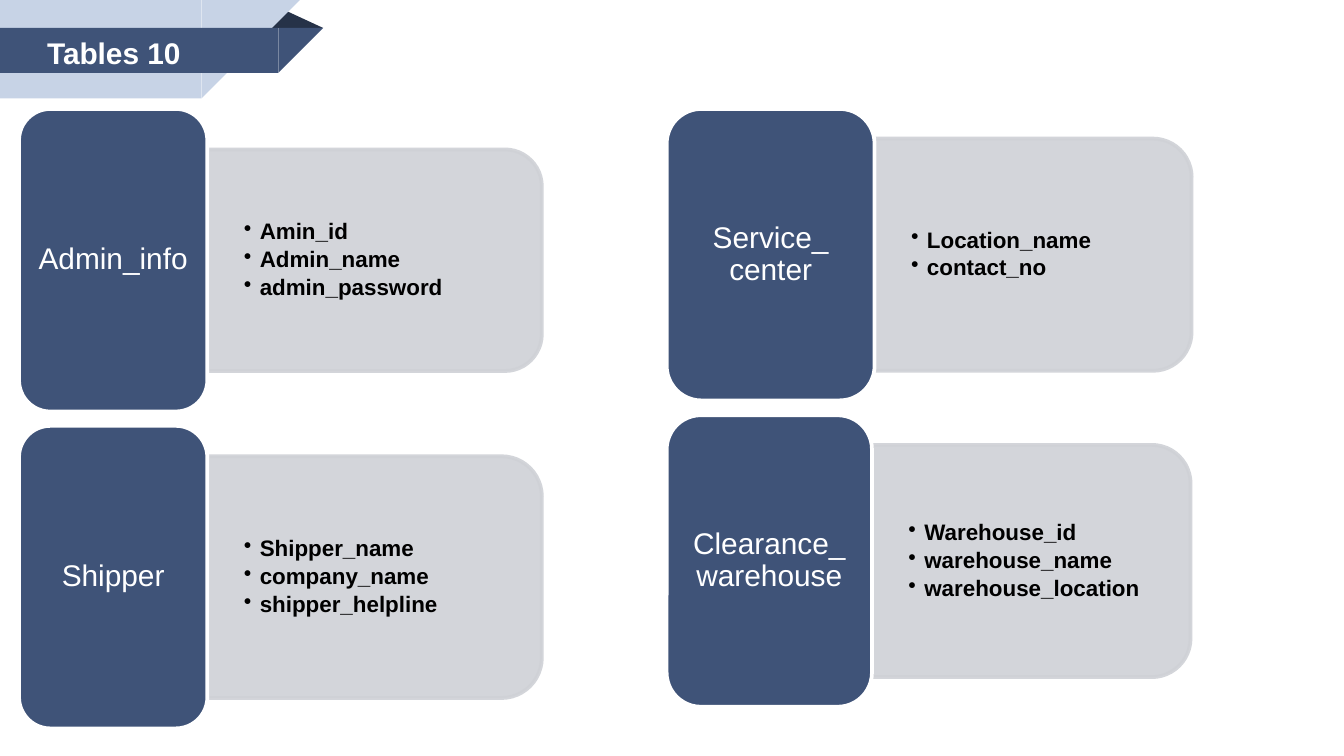
from lxml import etree
from pptx import Presentation
from pptx import util as u
from pptx.dml.color import RGBColor
from pptx.enum import shapes, text
from pptx.oxml.ns import qn

NAVY, DARK_NAVY, PALE_BLUE = "3F5378", "263248", "C7D3E6"
GREY, WHITE, BLACK = "CFD1D6", "FFFFFF", "000000"
PRESET = shapes.MSO_SHAPE

# name, fields, (left, top, width, height), key width, field panel height, in cm
CARDS = [
    ("Admin_info", ["Amin_id", "Admin_name", "admin_password"],
     (0.36, 2.06, 9.88, 5.72), 3.56, 4.19),
    ("Shipper", ["Shipper_name", "company_name", "shipper_helpline"],
     (0.36, 8.05, 9.88, 5.72), 3.56, 4.57),
    ("Service_ center", ["Location_name", "contact_no"],
     (12.6, 2.06, 9.92, 5.51), 3.93, 4.39),
    ("Clearance_warehouse", ["Warehouse_id", "warehouse_name", "warehouse_location"],
     (12.6, 7.85, 9.9, 5.51), 3.88, 4.39),
]


def paint(color_format, color, opacity=None):
    """Set a solid colour, with opacity in percent where given."""
    color_format.solid()
    color_format.fore_color.rgb = RGBColor.from_string(color)
    if opacity:
        srgb = color_format._xPr.find(".//" + qn("a:srgbClr"))
        etree.SubElement(srgb, qn("a:alpha"), val=str(opacity * 1000))


def add_preset(slide, preset, box, fill, line=None, opacity=None):
    shape = slide.shapes.add_shape(preset, *map(u.Cm, box))
    shape.shadow.inherit = False
    paint(shape.fill, fill, opacity)
    if line:
        shape.line.width = u.Pt(2)
        paint(shape.line.fill, line, opacity)
    else:
        shape.line.fill.background()
    return shape


def add_bullet(paragraph):
    properties = paragraph._p.get_or_add_pPr()
    properties.set("marL", str(u.Cm(0.3)))
    properties.set("indent", str(u.Cm(-0.3)))
    etree.SubElement(properties, qn("a:buChar"), char="•")


def add_text(slide, box, lines, size, color, bold=False, bullets=False,
             align=text.PP_ALIGN.LEFT, anchor=text.MSO_ANCHOR.MIDDLE,
             insets=(0.18, 0.08), line_spacing=0.9):
    frame = slide.shapes.add_textbox(*map(u.Cm, box)).text_frame
    frame.word_wrap = True
    frame.vertical_anchor = anchor
    frame.margin_left = frame.margin_right = u.Cm(insets[0])
    frame.margin_top = frame.margin_bottom = u.Cm(insets[1])
    frame.text = "\n".join(lines)
    for paragraph in frame.paragraphs:
        if bullets:
            add_bullet(paragraph)
            paragraph.space_after = u.Pt(2)
        paragraph.alignment = align
        paragraph.line_spacing = line_spacing
        font = paragraph.font
        font.name, font.size, font.bold = "Arial", u.Pt(size), bold
        font.color.rgb = RGBColor.from_string(color)


def add_ribbon(slide, left, top, width, height, color):
    """Band whose right end is cut at 45 degrees."""
    body = width - height
    add_preset(slide, PRESET.RECTANGLE, (left, top, body, height), color)
    tip = add_preset(slide, PRESET.RIGHT_TRIANGLE,
                     (left + body, top, height, height), color)
    tip._element.spPr.xfrm.set("flipV", "1")


def add_banner(slide, left, top, width, height, title):
    band_top, band_height = top + 0.53, 0.85
    fold = add_preset(slide, PRESET.ISOSCELES_TRIANGLE,
                      (left + width - 1.08, band_top - 0.34, 1.08, 0.34), DARK_NAVY)
    fold.adjustments[0] = 0.32
    add_ribbon(slide, left, top, width - 0.44, height, PALE_BLUE)
    add_ribbon(slide, left, band_top, width, band_height, NAVY)
    add_text(slide, (left + 0.64, band_top, 3.94, 0.94), [title], 16, WHITE, bold=True,
             anchor=text.MSO_ANCHOR.TOP, insets=(0.25, 0.13), line_spacing=1)


def add_card(slide, name, fields, box, key_width, panel_height):
    """Rounded key on the left, with a lower panel of fields to its right."""
    left, top, width, height = box
    panel_width = width - key_width
    panel_left, middle = left + key_width, top + height / 2

    # The panel is turned a quarter, so its round corners face right.
    panel = add_preset(slide, PRESET.ROUND_2_SAME_RECTANGLE,
                       (panel_left + (panel_width - panel_height) / 2,
                        middle - panel_width / 2, panel_height, panel_width),
                       GREY, GREY, opacity=90)
    panel.rotation = 90
    text_height = 0.9 * panel_height
    add_text(slide, (panel_left, middle - text_height / 2, panel_width - 0.2, text_height),
             fields, 12, BLACK, bold=True, bullets=True, insets=(0.69, 0.36))

    add_preset(slide, PRESET.ROUNDED_RECTANGLE, (left, top, key_width, height), NAVY, WHITE)
    pad = 0.18
    add_text(slide, (left + pad, top + pad, key_width - 2 * pad, height - 2 * pad),
             [name], 16, WHITE, align=text.PP_ALIGN.CENTER)


def main():
    presentation = Presentation()
    presentation.slide_width, presentation.slide_height = u.Cm(25.4), u.Cm(14.29)
    slide = presentation.slides.add_slide(presentation.slide_layouts[6])
    add_banner(slide, 0, 0, 6.11, 1.86, "Tables 10")
    for card in CARDS:
        add_card(slide, *card)
    presentation.save("out.pptx")


if __name__ == "__main__":
    main()
